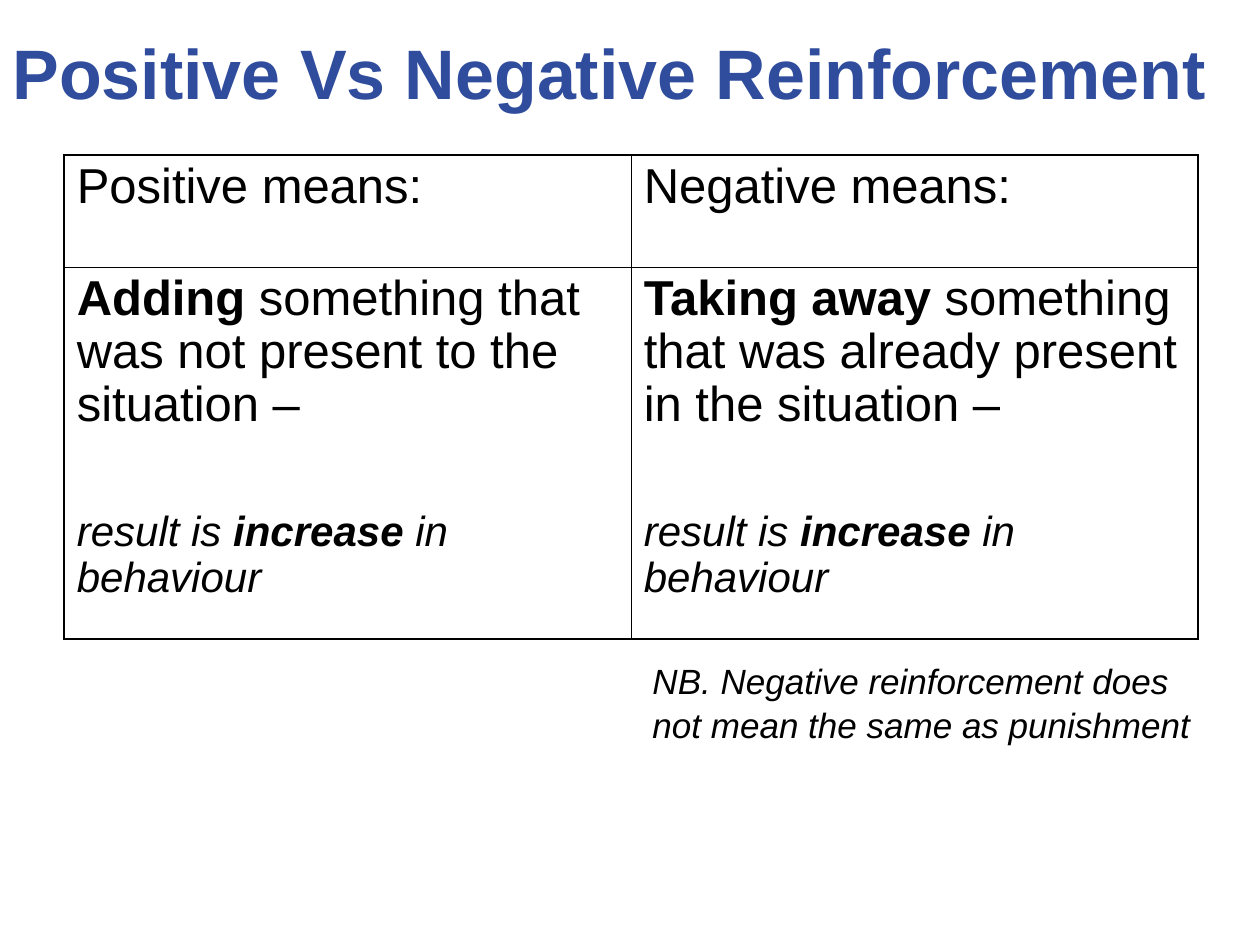
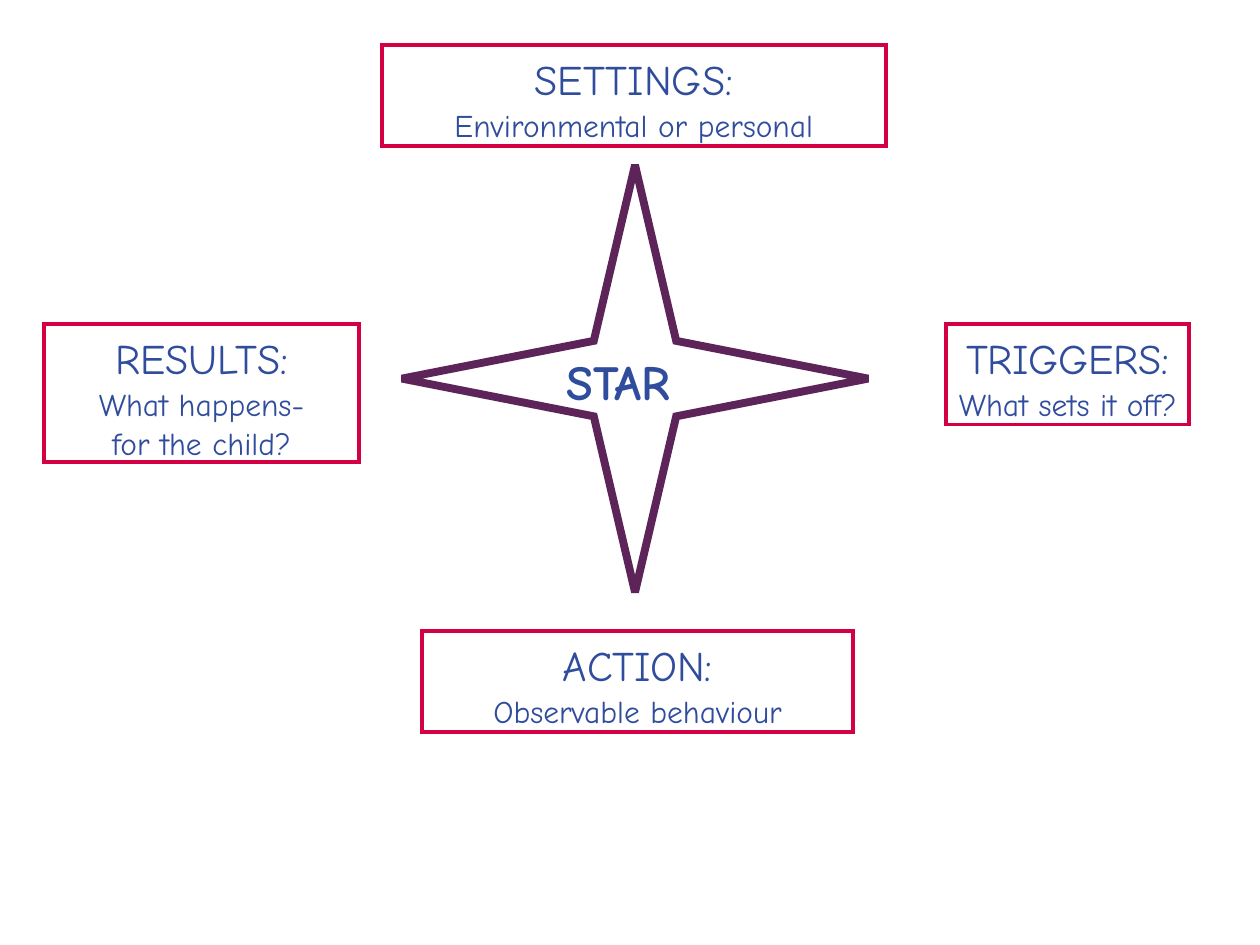
from lxml import etree
from pptx import Presentation
from pptx import util as u
from pptx.dml.color import RGBColor
from pptx.enum import shapes, text
from pptx.oxml.ns import qn

COLORS = {"blue": "2F4C9D", "black": "000000", "white": "FFFFFF",
          "red": "D30044", "purple": "5D245A"}
ARIAL, COMIC = "Arial", "Comic Neue"
UNIT = u.Inches(0.1)  # the slide is a grid of 100 columns and 75 rows
TEXT_SPACING, TABLE_SPACING = 1.05, 0.97


def rgb(name):
    return RGBColor.from_string(COLORS[name])


def grid(*cells):
    return [round(c * UNIT) for c in cells]


def inside(box, left, top, width, height):
    """Place a part relative to the top left corner of a box."""
    return grid(box[0] + left, box[1] + top, width, height)


def style(p, size, font, color, bold=False, italic=False, spacing=None):
    f = p.font
    f.size, f.name, f.bold, f.italic = u.Pt(size), font, bold, italic
    f.color.rgb = rgb(color)
    p.line_spacing = spacing


def outline(sp, color, width):
    sp.shadow.inherit = False
    sp.fill.background()
    sp.line.color.rgb = rgb(color)
    sp.line.width = u.Pt(width)
    ln = sp.line._get_or_add_ln()
    etree.SubElement(ln, qn("a:miter"), lim="800000")


def add_text(s, at, words, size, font, color, **look):
    tf = s.shapes.add_textbox(*at).text_frame
    tf.word_wrap = True
    p = tf.paragraphs[0]
    p.text = words
    style(p, size, font, color, spacing=TEXT_SPACING, **look)


def add_title(s, words, box):
    sp = s.shapes.title
    sp.left, sp.top, sp.width, sp.height = grid(*box)
    sp.fill.solid()
    sp.fill.fore_color.rgb = rgb("white")
    tf = sp.text_frame
    tf.vertical_anchor = text.MSO_ANCHOR.MIDDLE
    tf.auto_size = text.MSO_AUTO_SIZE.NONE
    p = tf.paragraphs[0]
    p.text = words
    p.alignment = text.PP_ALIGN.LEFT
    style(p, 40, ARIAL, "blue", bold=True)


def border(cell, side, width):
    ln = etree.SubElement(cell._tc.get_or_add_tcPr(), qn(f"a:ln{side}"),
                          w=str(u.Pt(width)))
    fill = etree.SubElement(ln, qn("a:solidFill"))
    etree.SubElement(fill, qn("a:srgbClr"), val=COLORS["black"])


def add_runs(p, parts, size, italic=False):
    """Write (words, bold) parts into one paragraph."""
    style(p, size, ARIAL, "black", italic=italic, spacing=TABLE_SPACING)
    for words, bold in parts:
        r = p.add_run()
        r.text = words
        r.font.bold = bold


def meaning_table(s, box, columns, row_heights):
    table = s.shapes.add_table(2, len(columns), *grid(*box)).table
    table.first_row = table.horz_banding = False
    for row, height in zip(table.rows, row_heights):
        row.height = grid(height)[0]
    last = len(columns) - 1
    for c, (heading, verb, rest) in enumerate(columns):
        head, body = table.cell(0, c), table.cell(1, c)
        add_runs(head.text_frame.paragraphs[0], [(heading, False)], 28)
        add_runs(body.text_frame.paragraphs[0], [(verb, True), (rest, False)], 28)
        p = body.text_frame.add_paragraph()
        add_runs(p, [("result is ", False), ("increase", True),
                     (" in behaviour", False)], 24, italic=True)
        p.space_before = u.Pt(44.5)
        # Outer edges are heavier than inner ones
        for r, cell in enumerate((head, body)):
            outer = {"L": c == 0, "R": c == last, "T": r == 0, "B": r == 1}
            for side, heavy in outer.items():
                border(cell, side, 1.08 if heavy else 0.45)
            cell.fill.background()


def label(s, at, lines, wrap=True):
    sp = s.shapes.add_shape(shapes.MSO_SHAPE.RECTANGLE, *at)
    outline(sp, "red", 2.25)
    tf = sp.text_frame
    tf.word_wrap = wrap
    tf.vertical_anchor = text.MSO_ANCHOR.TOP
    for i, words in enumerate(lines):
        p = tf.add_paragraph() if i else tf.paragraphs[0]
        p.text = words
        p.alignment = text.PP_ALIGN.CENTER
        style(p, 18 if i else 24, COMIC, "blue", spacing=TEXT_SPACING)


def star_diagram(s, box):
    width, height = box[2:]
    # Star and its name
    star = s.shapes.add_shape(shapes.MSO_SHAPE.STAR_4_POINT,
                              *inside(box, 28.4, 9.5, 37, 33.9))
    star.adjustments[0] = 0.125
    outline(star, "purple", 4.5)
    add_text(s, inside(box, 40.5, 23.6, 13.3, 5.7), "STAR", 28, COMIC, "blue",
             bold=True)
    # Labels at the four points
    row, low = 22.1, 8
    label(s, inside(box, 26.8, 0, 40, low),
          ["SETTINGS:", "Environmental or personal"])
    label(s, inside(box, 0, row, 25, 11),
          ["RESULTS:", "What happens-", "for the child?"])
    label(s, inside(box, width - 19.3, row, 19.3, low),
          ["TRIGGERS:", "What sets it off?"], wrap=False)
    label(s, inside(box, 30, height - low, 34.2, low),
          ["ACTION:", "Observable behaviour"])


def main():
    prs = Presentation()
    prs.slide_width, prs.slide_height = grid(100, 75)

    # Reinforcement table
    s = prs.slides.add_slide(prs.slide_layouts[5])
    add_title(s, "Positive Vs Negative Reinforcement", (0, 0.3, 100, 10.8))
    meaning_table(s, (5.1, 12.3, 90, 38.4), [
        ("Positive means:", "Adding",
         " something that was not present to the situation –"),
        ("Negative means:", "Taking away",
         " something that was already present in the situation –"),
    ], (8.9, 29.5))
    add_text(s, grid(50.8, 51.7, 44.9, 7.7),
             "NB. Negative reinforcement does not mean the same as punishment",
             20, ARIAL, "black", italic=True)

    # Star diagram
    s = prs.slides.add_slide(prs.slide_layouts[6])
    star_diagram(s, (3.5, 3.6, 90.9, 54.5))

    prs.save("out.pptx")


if __name__ == "__main__":
    main()
